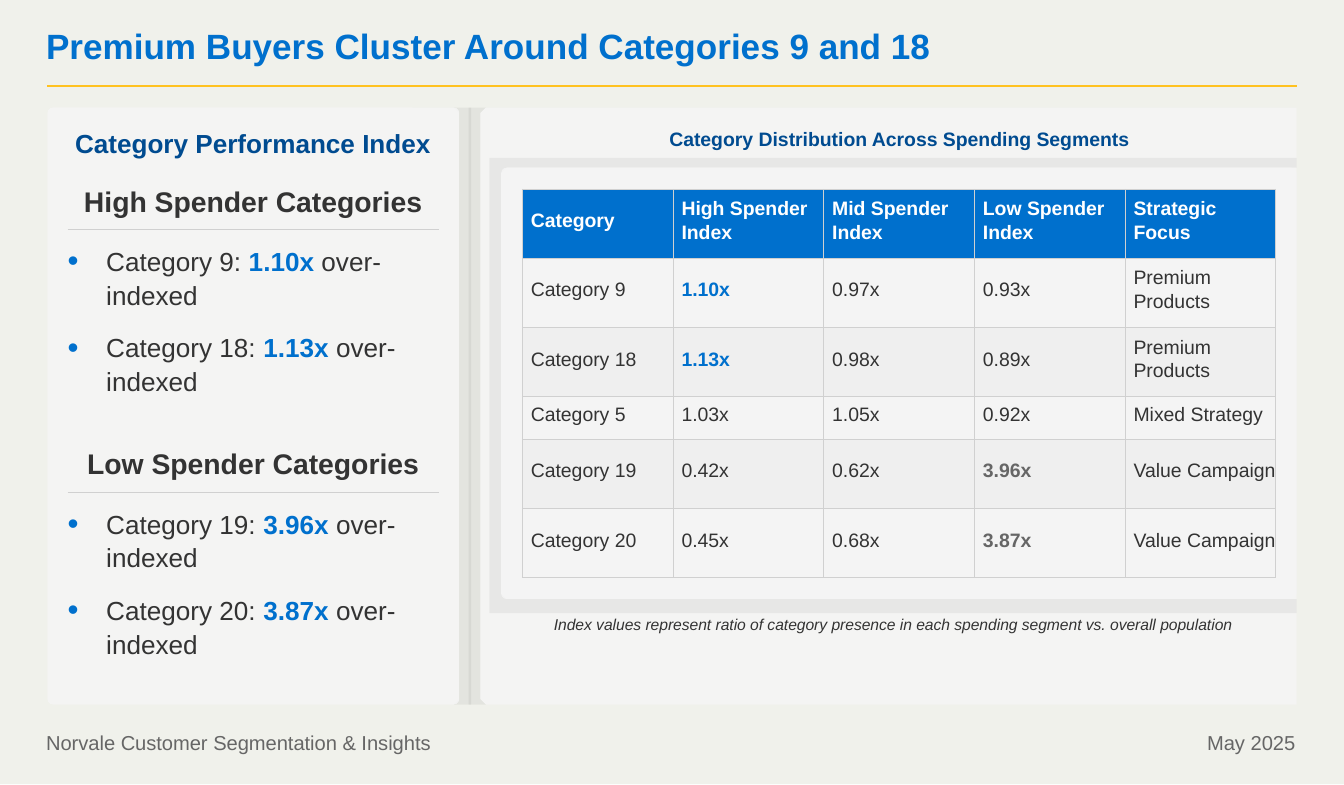
from lxml import etree
from pptx import Presentation
from pptx.dml.color import RGBColor
from pptx.enum import shapes, text
from pptx.oxml import ns
from pptx.util import Cm, Pt

BLACK = RGBColor(0x00, 0x00, 0x00)
WHITE = RGBColor(0xFF, 0xFF, 0xFF)
PAPER = RGBColor(0xF0, 0xF1, 0xEB)
PANEL = RGBColor(0xF5, 0xF5, 0xF5)
BAND = RGBColor(0xEB, 0xEB, 0xEB)
RULE = RGBColor(0xD0, 0xD0, 0xD0)
YELLOW = RGBColor(0xFF, 0xC2, 0x20)
BLUE = RGBColor(0x00, 0x70, 0xCD)
NAVY = RGBColor(0x00, 0x4B, 0x90)
INK = RGBColor(0x33, 0x33, 0x33)
GREY = RGBColor(0x66, 0x66, 0x66)

LEFT, RIGHT = 1.12, 30.63
TOP, BOTTOM = 2.54, 16.64
CORNER = 0.13
RULE_LEFT, RULE_RIGHT = 1.6, 10.36

INDEX_ROWS = [
    ["Category", "High Spender Index", "Mid Spender Index", "Low Spender Index", "Strategic Focus"],
    ["Category 9", "1.10x", "0.97x", "0.93x", "Premium Products"],
    ["Category 18", "1.13x", "0.98x", "0.89x", "Premium Products"],
    ["Category 5", "1.03x", "1.05x", "0.92x", "Mixed Strategy"],
    ["Category 19", "0.42x", "0.62x", "3.96x", "Value Campaign"],
    ["Category 20", "0.45x", "0.68x", "3.87x", "Value Campaign"],
]
ROW_HEIGHTS = [1.63, 1.63, 1.64, 1, 1.64, 1.63]
HIGHLIGHTS = {(1, 1): BLUE, (2, 1): BLUE, (4, 3): GREY, (5, 3): GREY}

SPENDER_GROUPS = [
    ("High Spender Categories", 4.34, [("Category 9: ", "1.10x"), ("Category 18: ", "1.13x")]),
    ("Low Spender Categories", 10.54, [("Category 19: ", "3.96x"), ("Category 20: ", "3.87x")]),
]


def fade(properties, percent):
    colour = properties.find(ns.qn("a:solidFill"))[0]
    etree.SubElement(colour, ns.qn("a:alpha"), val=str(percent * 1000))


def paint(shape, colour, percent=100):
    shape.shadow.inherit = False
    shape.line.fill.background()
    shape.fill.solid()
    shape.fill.fore_color.rgb = colour
    if percent < 100:
        fade(shape.element.spPr, percent)


def add_block(slide, kind, left, top, right, bottom, colour, percent=100):
    block = slide.shapes.add_shape(kind, Cm(left), Cm(top), Cm(right - left), Cm(bottom - top))
    if kind == shapes.MSO_SHAPE.ROUNDED_RECTANGLE:
        block.adjustments[0] = CORNER / min(right - left, bottom - top)
    paint(block, colour, percent)


def add_outline(slide, points, colour, percent):
    corners = [(Cm(x), Cm(y)) for x, y in points]
    builder = slide.shapes.build_freeform(*corners[0])
    builder.add_line_segments(corners[1:], close=True)
    paint(builder.convert_to_shape(), colour, percent)


def add_rule(slide, left, right, y, colour, width):
    rule = slide.shapes.add_connector(shapes.MSO_CONNECTOR.STRAIGHT, Cm(left), Cm(y), Cm(right), Cm(y))
    rule.line.color.rgb = colour
    rule.line.width = Pt(width)
    etree.SubElement(rule.element.spPr, ns.qn("a:effectLst"))


def add_run(paragraph, words, *, size, colour=INK, bold=False, italic=False):
    run = paragraph.add_run()
    run.text = words
    run.font.name = "Arial"
    run.font.size = Pt(size)
    run.font.bold = bold
    run.font.italic = italic
    run.font.color.rgb = colour


def add_frame(slide, left, top, width, height, wrap):
    frame = slide.shapes.add_textbox(Cm(left), Cm(top), Cm(width), Cm(height)).text_frame
    frame.margin_left = frame.margin_right = frame.margin_top = frame.margin_bottom = 0
    frame.word_wrap = wrap
    return frame


def add_label(slide, words, left, top, width, height, *, align=text.PP_ALIGN.CENTER, **style):
    paragraph = add_frame(slide, left, top, width, height, False).paragraphs[0]
    paragraph.alignment = align
    add_run(paragraph, words, **style)


def add_bullet(paragraph):
    properties = paragraph._p.get_or_add_pPr()
    properties.set("marL", str(Cm(0.91)))
    properties.set("indent", str(-Cm(0.91)))
    tint = etree.SubElement(properties, ns.qn("a:buClr"))
    etree.SubElement(tint, ns.qn("a:srgbClr"), val=str(BLUE))
    etree.SubElement(properties, ns.qn("a:buSzPct"), val="120000")
    etree.SubElement(properties, ns.qn("a:buFont"), typeface="Arial")
    etree.SubElement(properties, ns.qn("a:buChar"), char="•")


def add_spender_group(slide, heading, top, entries):
    width = RULE_RIGHT - RULE_LEFT
    add_label(slide, heading, RULE_LEFT, top, width, 0.84, size=19, bold=True)
    add_rule(slide, RULE_LEFT, RULE_RIGHT, top + 1.09, RULE, 0.75)
    frame = add_frame(slide, RULE_LEFT, top + 1.4, 7.8, 3.68, True)
    for number, (category, index) in enumerate(entries):
        paragraph = frame.add_paragraph() if number else frame.paragraphs[0]
        paragraph.line_spacing = 1.08
        paragraph.space_before = Pt(12.5 if number else 0)
        add_bullet(paragraph)
        add_run(paragraph, category, size=17.5)
        add_run(paragraph, index, size=17.5, colour=BLUE, bold=True)
        add_run(paragraph, " over-indexed", size=17.5)


def add_borders(properties):
    for side in ("lnL", "lnR", "lnT", "lnB"):
        border = etree.SubElement(properties, ns.qn(f"a:{side}"), w=str(Pt(0.75)))
        fill = etree.SubElement(border, ns.qn("a:solidFill"))
        etree.SubElement(fill, ns.qn("a:srgbClr"), val=str(RULE))


def fill_cell(cell, words, row, column):
    header = row == 0
    properties = cell._tc.get_or_add_tcPr()
    add_borders(properties)
    if header or row % 2 == 0 and row:
        cell.fill.solid()
        cell.fill.fore_color.rgb = BLUE if header else BAND
        if not header:
            fade(properties, 50)
    else:
        cell.fill.background()
    cell.margin_left = Cm(0.2)
    cell.margin_right = cell.margin_top = 0
    cell.margin_bottom = Cm(0.18)
    cell.vertical_anchor = text.MSO_ANCHOR.MIDDLE
    paragraph = cell.text_frame.paragraphs[0]
    paragraph.line_spacing = 1.07 if header else 1.1
    highlight = HIGHLIGHTS.get((row, column))
    colour = WHITE if header else highlight or INK
    add_run(paragraph, words, size=13, colour=colour, bold=header or highlight is not None)


def add_index_table(slide):
    columns = len(INDEX_ROWS[0])
    table = slide.shapes.add_table(
        len(INDEX_ROWS), columns, Cm(12.34), Cm(4.47), Cm(3.56 * columns), Cm(sum(ROW_HEIGHTS))
    ).table
    table.horz_banding = False
    for column in table.columns:
        column.width = Cm(3.56)
    for row, words in enumerate(INDEX_ROWS):
        table.rows[row].height = Cm(ROW_HEIGHTS[row])
        for column, value in enumerate(words):
            fill_cell(table.cell(row, column), value, row, column)


def add_panels(slide):
    rounded = shapes.MSO_SHAPE.ROUNDED_RECTANGLE
    upper, lower = TOP + CORNER, BOTTOM - CORNER
    for edge, outer, inner in ((10.85, 11.13, 10.72), (11.35, 11.07, 11.48)):
        add_outline(slide, [(inner, TOP), (outer, TOP), (outer, BOTTOM), (inner, BOTTOM),
                            (edge, lower), (edge, upper)], BLACK, 5)
    add_block(slide, rounded, LEFT, TOP, 10.85, BOTTOM, PANEL, 85)
    add_outline(slide, [(11.48, TOP), (RIGHT, TOP), (RIGHT, BOTTOM), (11.48, BOTTOM),
                        (11.35, lower), (11.35, upper)], PANEL, 85)
    add_outline(slide, [(RIGHT, 3.73), (11.56, 3.73), (11.56, 14.48), (RIGHT, 14.48),
                        (RIGHT, 14.15), (11.97, 14.15), (11.84, 14.02), (11.84, 4.09),
                        (11.97, 3.96), (RIGHT, 3.96)], BLACK, 5)
    add_block(slide, rounded, 11.84, 3.96, RIGHT, 14.15, PANEL, 85)


def main():
    deck = Presentation()
    deck.slide_width, deck.slide_height = Cm(31.75), Cm(18.54)
    slide = deck.slides.add_slide(deck.slide_layouts[6])

    add_block(slide, shapes.MSO_SHAPE.RECTANGLE, 0, 0, 31.75, 18.52, PAPER)
    add_rule(slide, LEFT, RIGHT, 2.03, YELLOW, 1.5)
    add_label(slide, "Premium Buyers Cluster Around Categories 9 and 18", 1.09, 0.58, 24.3, 1.04,
              align=text.PP_ALIGN.LEFT, size=23.5, colour=BLUE, bold=True)
    add_panels(slide)

    add_label(slide, "Category Performance Index", RULE_LEFT, 3, RULE_RIGHT - RULE_LEFT, 0.8,
              size=17.5, colour=NAVY, bold=True)
    for heading, top, entries in SPENDER_GROUPS:
        add_spender_group(slide, heading, top, entries)

    add_label(slide, "Category Distribution Across Spending Segments", 15.65, 3, 11.18, 0.6,
              size=13, colour=NAVY, bold=True)
    add_index_table(slide)
    add_label(slide, "Index values represent ratio of category presence in each spending segment "
              "vs. overall population", 13.06, 14.53, 16.1, 0.46, size=10.5, italic=True)

    add_label(slide, "Norvale Customer Segmentation & Insights", 1.09, 17.25, 9.4, 0.6,
              align=text.PP_ALIGN.LEFT, size=13.5, colour=GREY)
    add_label(slide, "May 2025", 28.47, 17.25, 2.13, 0.6,
              align=text.PP_ALIGN.RIGHT, size=13.5, colour=GREY)
    deck.save("out.pptx")


if __name__ == "__main__":
    main()
